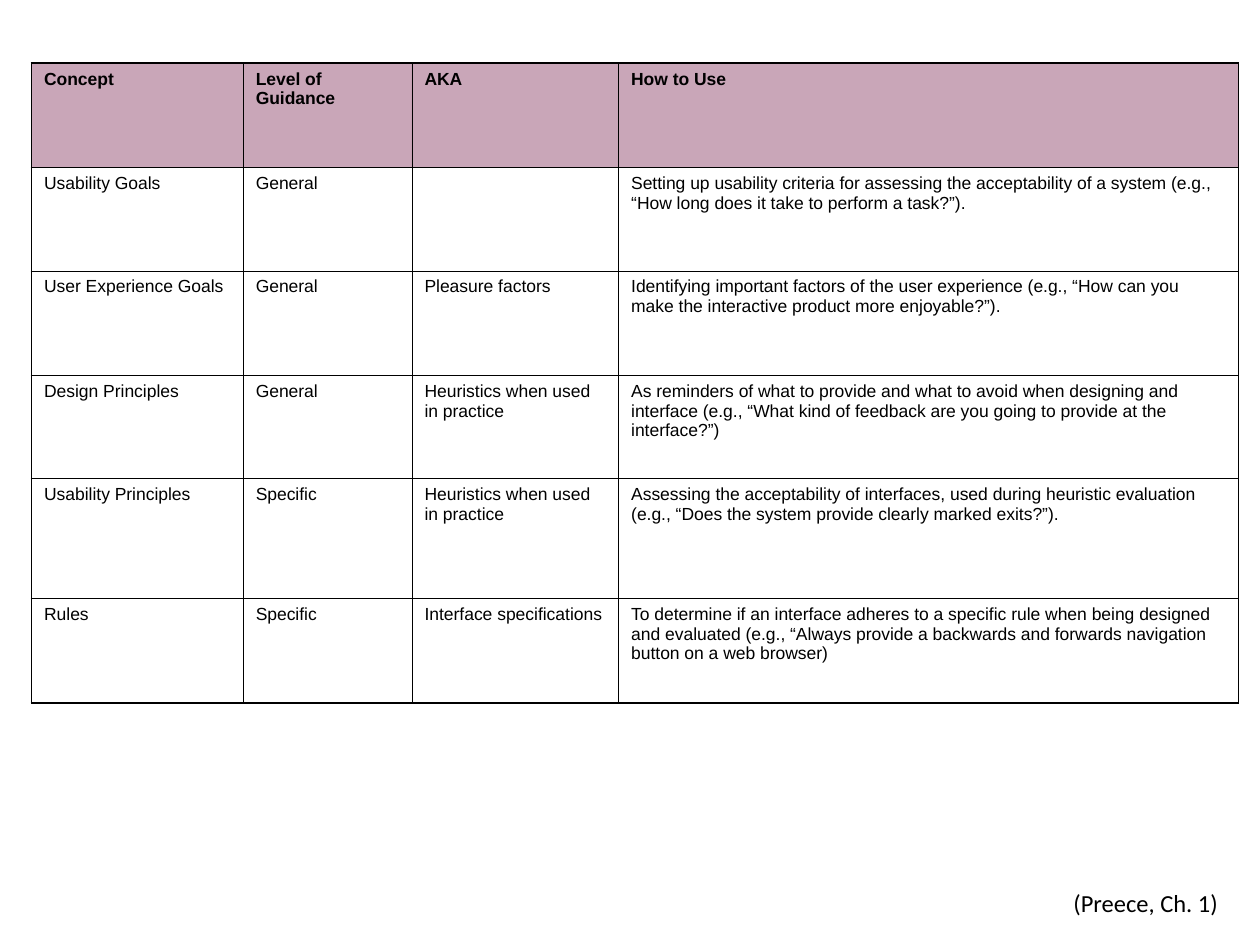
from dataclasses import astuple, dataclass

import lxml.etree
import pptx
import pptx.dml.color
import pptx.enum.text
import pptx.oxml.ns
import pptx.table
import pptx.util

Inches = pptx.util.Inches
Pt = pptx.util.Pt
RGBColor = pptx.dml.color.RGBColor
qn = pptx.oxml.ns.qn

BLACK = RGBColor(0x00, 0x00, 0x00)
PLUM = RGBColor(0x95, 0x4F, 0x72)
INNER_BORDER = Pt(0.45)
OUTER_BORDER = Pt(1.08)
COLUMN_WIDTHS = (1.68, 1.34, 1.64, 4.92)
ROW_HEIGHTS = (0.83, 0.82, 0.83, 0.82, 0.95, 0.83)


@dataclass(frozen=True)
class Concept:
    name: str
    guidance: str
    alias: str
    usage: str


CONCEPTS = (
    Concept("Concept", "Level of Guidance", "AKA", "How to Use"),
    Concept(
        "Usability Goals", "General", "",
        "Setting up usability criteria for assessing the acceptability of a system "
        "(e.g., “How long does it take to perform a task?”).",
    ),
    Concept(
        "User Experience Goals", "General", "Pleasure factors",
        "Identifying important factors of the user experience "
        "(e.g., “How can you make the interactive product more enjoyable?”).",
    ),
    Concept(
        "Design Principles", "General", "Heuristics when used in practice",
        "As reminders of what to provide and what to avoid when designing and interface "
        "(e.g., “What kind of feedback are you going to provide at the interface?”)",
    ),
    Concept(
        "Usability Principles", "Specific", "Heuristics when used in practice",
        "Assessing the acceptability of interfaces, used during heuristic evaluation "
        "(e.g., “Does the system provide clearly marked exits?”).",
    ),
    Concept(
        "Rules", "Specific", "Interface specifications",
        "To determine if an interface adheres to a specific rule when being designed "
        "and evaluated (e.g., “Always provide a backwards and forwards navigation "
        "button on a web browser)",
    ),
)


def format_text(text_frame, font_name: str, size: float, bold: bool = False) -> None:
    for paragraph in text_frame.paragraphs:
        paragraph.font.size = Pt(size)
        for run in paragraph.runs:
            run.font.name = font_name
            run.font.size = Pt(size)
            run.font.bold = bold
            run.font.color.rgb = BLACK


def set_borders(cell: pptx.table._Cell, outer_sides: dict[str, bool]) -> None:
    properties = cell._tc.get_or_add_tcPr()
    for position, (side, is_outer) in enumerate(outer_sides.items()):
        width = OUTER_BORDER if is_outer else INNER_BORDER
        line = lxml.etree.Element(qn(f"a:ln{side}"), w=str(int(width)))
        fill = lxml.etree.SubElement(line, qn("a:solidFill"))
        lxml.etree.SubElement(fill, qn("a:srgbClr"), val=str(BLACK))
        properties.insert(position, line)


def fill_header(cell: pptx.table._Cell) -> None:
    cell.fill.solid()
    cell.fill.fore_color.rgb = PLUM
    color = cell._tc.tcPr.find(qn("a:solidFill")).find(qn("a:srgbClr"))
    lxml.etree.SubElement(color, qn("a:alpha"), val="50000")


def add_concept_table(slide) -> None:
    last_row = len(ROW_HEIGHTS) - 1
    last_column = len(COLUMN_WIDTHS) - 1
    table = slide.shapes.add_table(
        len(ROW_HEIGHTS), len(COLUMN_WIDTHS), Inches(0.25), Inches(0.5),
        Inches(sum(COLUMN_WIDTHS)), Inches(sum(ROW_HEIGHTS)),
    ).table
    table.horz_banding = False
    for column, width in zip(table.columns, COLUMN_WIDTHS):
        column.width = Inches(width)
    for row_index, (concept, height) in enumerate(zip(CONCEPTS, ROW_HEIGHTS)):
        table.rows[row_index].height = Inches(height)
        is_header = row_index == 0
        for column_index, text in enumerate(astuple(concept)):
            cell = table.cell(row_index, column_index)
            cell.text_frame.text = text
            format_text(cell.text_frame, "Arial", 10, bold=is_header)
            if is_header:
                fill_header(cell)
            else:
                cell.fill.background()
            set_borders(cell, {
                "L": column_index == 0,
                "R": column_index == last_column,
                "T": is_header,
                "B": row_index == last_row,
            })


def add_citation(slide) -> None:
    citation = slide.shapes.add_textbox(Inches(8.42), Inches(7), Inches(1.35), Inches(0.34))
    text_frame = citation.text_frame
    text_frame.word_wrap = False
    text_frame.auto_size = pptx.enum.text.MSO_AUTO_SIZE.SHAPE_TO_FIT_TEXT
    text_frame.text = "(Preece, Ch. 1)"
    format_text(text_frame, "Calibri", 14)


def main() -> None:
    presentation = pptx.Presentation()
    presentation.slide_width = Inches(10)
    presentation.slide_height = Inches(7.5)
    slide = presentation.slides.add_slide(presentation.slide_layouts[6])
    add_concept_table(slide)
    add_citation(slide)
    presentation.save("out.pptx")


if __name__ == "__main__":
    main()
